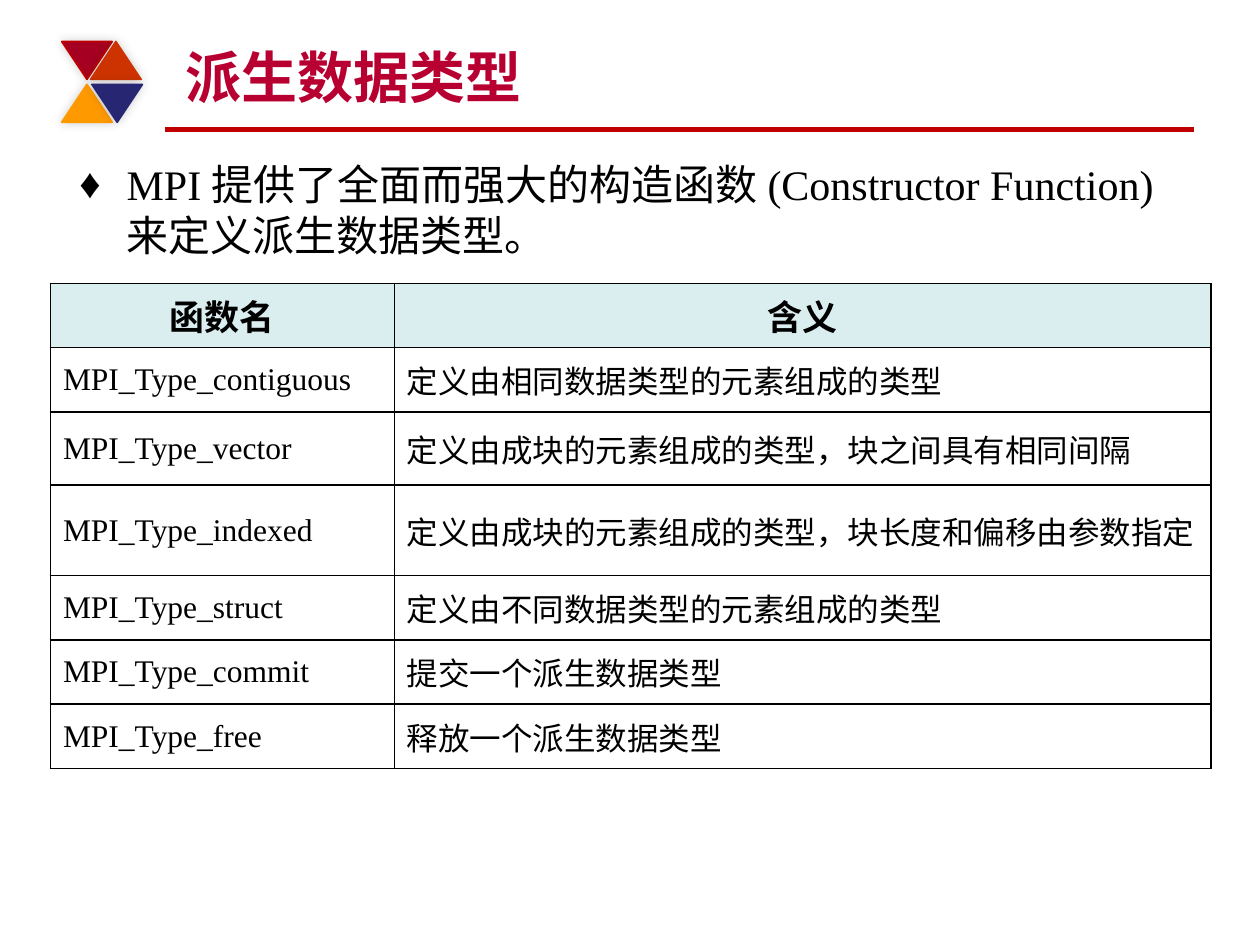
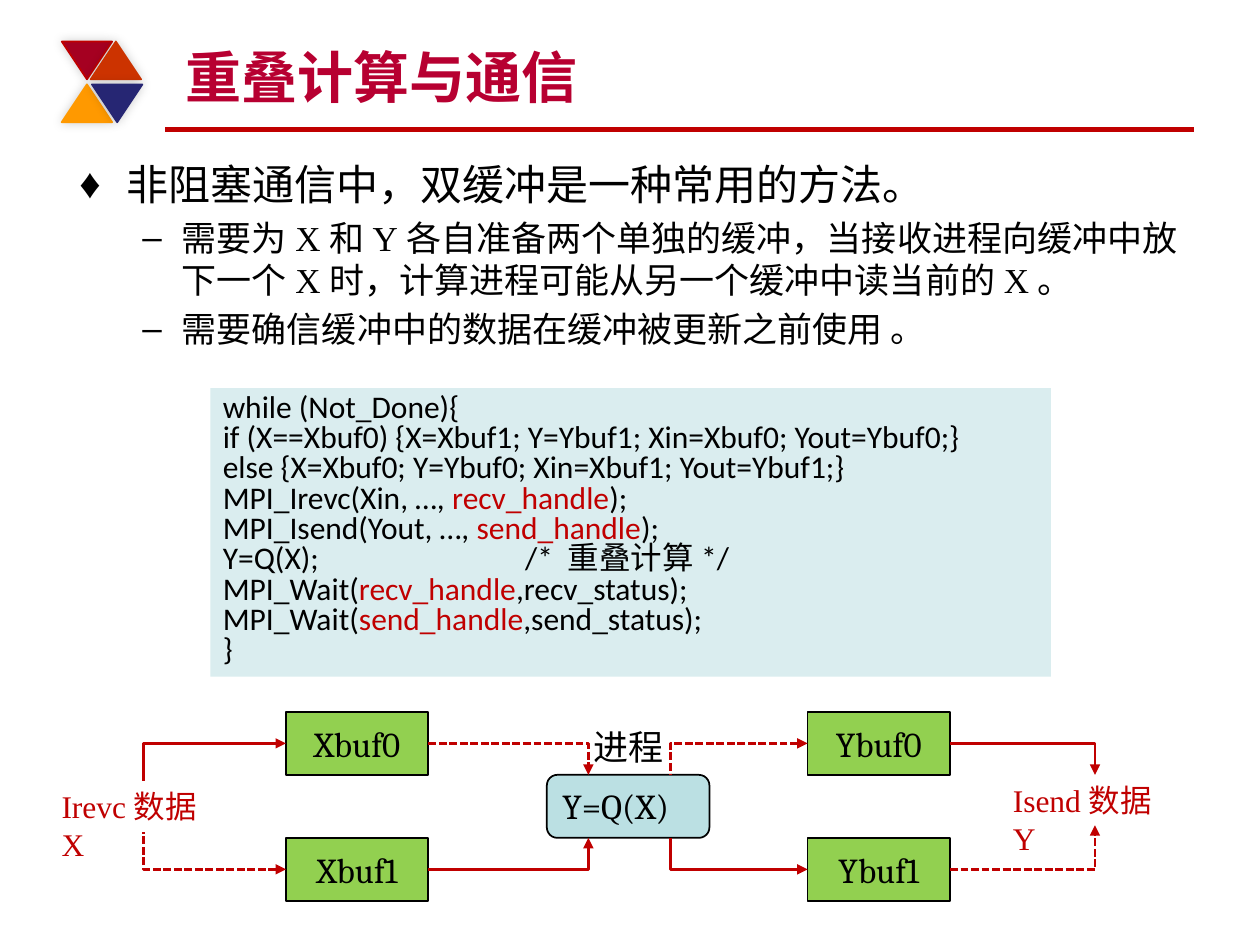
from lxml.etree import SubElement
from pptx import Presentation
from pptx.dml.color import RGBColor
from pptx.enum.dml import MSO_LINE
from pptx.enum.shapes import MSO_CONNECTOR, MSO_SHAPE
from pptx.enum.text import MSO_ANCHOR, MSO_AUTO_SIZE, PP_ALIGN
from pptx.oxml.ns import qn
from pptx.util import Inches, Pt

BLACK = RGBColor(0x00, 0x00, 0x00)
RED = RGBColor(0xC0, 0x00, 0x00)
TITLE_RED = RGBColor(0xB7, 0x00, 0x31)
PALE_TEAL = RGBColor(0xDA, 0xED, 0xEF)
TEAL = RGBColor(0xBB, 0xE0, 0xE3)
GREEN = RGBColor(0x92, 0xD0, 0x50)
CRIMSON = RGBColor(0xA5, 0x00, 0x21)
ORANGE_RED = RGBColor(0xCC, 0x33, 0x00)
AMBER = RGBColor(0xFF, 0x99, 0x00)
NAVY = RGBColor(0x26, 0x26, 0x73)

SERIF = "Times New Roman"
BULLETS = ("♦", "–")

FUNCTIONS = [
    ("函数名", "含义"),
    ("MPI_Type_contiguous", "定义由相同数据类型的元素组成的类型"),
    ("MPI_Type_vector", "定义由成块的元素组成的类型，块之间具有相同间隔"),
    ("MPI_Type_indexed", "定义由成块的元素组成的类型，块长度和偏移由参数指定"),
    ("MPI_Type_struct", "定义由不同数据类型的元素组成的类型"),
    ("MPI_Type_commit", "提交一个派生数据类型"),
    ("MPI_Type_free", "释放一个派生数据类型"),
]
CODE = [
    "while (Not_Done){",
    "if (X==Xbuf0) {X=Xbuf1; Y=Ybuf1; Xin=Xbuf0; Yout=Ybuf0;}",
    "else {X=Xbuf0; Y=Ybuf0; Xin=Xbuf1; Yout=Ybuf1;}",
    "MPI_Irevc(Xin, …, |recv_handle|);",
    "MPI_Isend(Yout, …, |send_handle|);",
    "Y=Q(X);\t/* 重叠计算*/",
    "MPI_Wait(|recv_handle|,recv_status);",
    "MPI_Wait(|send_handle|,send_status);",
    "}",
]


def inches(*lengths):
    return [Inches(length) for length in lengths]


def write(paragraph, text, font="Arial", size=20, color=BLACK, bold=False, align=None):
    run = paragraph.add_run()
    run.text = text
    run.font.name = font
    run.font.size = Pt(size)
    run.font.bold = bold
    run.font.color.rgb = color
    if align is not None:
        paragraph.alignment = align


def add_block(slide, preset, box, fill, line=None, anchor=MSO_ANCHOR.TOP):
    block = slide.shapes.add_shape(preset, *inches(*box))
    block.shadow.inherit = False
    block.fill.solid()
    block.fill.fore_color.rgb = fill
    if line is None:
        block.line.fill.background()
    else:
        block.line.color.rgb = line
        block.line.width = Pt(1)
    block.text_frame.vertical_anchor = anchor
    block.text_frame.paragraphs[0].alignment = PP_ALIGN.LEFT
    return block


def add_label(slide, text, box, right_margin=0.1, **style):
    label = slide.shapes.add_textbox(*inches(*box)).text_frame
    label.word_wrap = True
    label.margin_right = Inches(right_margin)
    write(label.paragraphs[0], text, **style)


def add_line(slide, kind, start, end, width):
    line = slide.shapes.add_connector(kind, *inches(*start, *end))
    line.line.color.rgb = RED
    line.line.width = Pt(width)
    SubElement(line._element.spPr, qn("a:effectLst"))
    return line


def add_arrow(slide, start, end, arrow_at="tailEnd", dashed=False):
    arrow = add_line(slide, MSO_CONNECTOR.ELBOW, start, end, 1.5)
    arrow._element.spPr.find(qn("a:prstGeom")).set("prst", "bentConnector2")
    if dashed:
        arrow.line.dash_style = MSO_LINE.SQUARE_DOT
    SubElement(arrow.line._get_or_add_ln(), qn(f"a:{arrow_at}"), type="triangle")


def add_soft_shadow(shape):
    effects = shape._element.spPr.find(qn("a:effectLst"))
    shadow = SubElement(effects, qn("a:outerShdw"), blurRad=str(Pt(6)), dist="0", dir="18900000")
    black = SubElement(shadow, qn("a:srgbClr"), val=str(BLACK))
    SubElement(black, qn("a:alpha"), val="20000")


def add_banner(slide, layout, left, top):
    banner = [add_line(slide, MSO_CONNECTOR.STRAIGHT, (1.31, 1.03), (9.48, 1.03), 3)]
    for dx, dy, color, edge, turn in (
        (0, 0, CRIMSON, RED, 180),
        (0.23, 0, ORANGE_RED, ORANGE_RED, 0),
        (0, 0.34, AMBER, AMBER, 0),
        (0.24, 0.34, NAVY, NAVY, 180),
    ):
        triangle = add_block(slide, MSO_SHAPE.ISOSCELES_TRIANGLE,
                             (left + dx, top + dy, 0.4, 0.3), color, edge)
        triangle.rotation = turn
        add_soft_shadow(triangle)
        banner.append(triangle)
    for part in banner:
        layout.shapes._spTree.append(part._element)


def place(placeholder, box):
    placeholder.left, placeholder.top, placeholder.width, placeholder.height = inches(*box)
    placeholder.text_frame.auto_size = MSO_AUTO_SIZE.NONE
    return placeholder.text_frame


def add_content_slide(deck, layout, heading, points, body_height):
    slide = deck.slides.add_slide(layout)
    title = place(slide.shapes.title, (1.37, 0.25, 8, 0.67))
    title.vertical_anchor = MSO_ANCHOR.BOTTOM
    write(title.paragraphs[0], heading, size=32, color=TITLE_RED, bold=True, align=PP_ALIGN.LEFT)
    body = place(slide.placeholders[1], (0.53, 1.21, 8.95, body_height))
    for index, (level, text) in enumerate(points):
        point = body.add_paragraph() if index else body.paragraphs[0]
        point.level = level
        write(point, text, font=SERIF, size=20 if level else 24)
        SubElement(point._p.get_or_add_pPr(), qn("a:buChar"), char=BULLETS[level])
    return slide


def add_borders(cell):
    properties = cell._tc.get_or_add_tcPr()
    for index, side in enumerate(("lnL", "lnR", "lnT", "lnB")):
        border = SubElement(properties, qn(f"a:{side}"), w=str(Pt(1)))
        properties.insert(index, border)
        fill = SubElement(border, qn("a:solidFill"))
        SubElement(fill, qn("a:srgbClr"), val=str(BLACK))


def add_function_table(slide, box):
    table = slide.shapes.add_table(len(FUNCTIONS), 2, *inches(*box)).table
    table.first_row = table.horz_banding = False
    for column, width in zip(table.columns, (2.73, 6.48)):
        column.width = Inches(width)
    for row, height in zip(table.rows, (0.51, 0.51, 0.58, 0.72, 0.51, 0.51, 0.51)):
        row.height = Inches(height)
    for r, entries in enumerate(FUNCTIONS):
        for c, text in enumerate(entries):
            cell = table.cell(r, c)
            cell.vertical_anchor = MSO_ANCHOR.MIDDLE
            paragraph = cell.text_frame.paragraphs[0]
            if r == 0:
                cell.fill.solid()
                cell.fill.fore_color.rgb = PALE_TEAL
                write(paragraph, text, bold=True, align=PP_ALIGN.CENTER)
            else:
                cell.fill.background()
                write(paragraph, text, font=SERIF, size=18)
            add_borders(cell)


def add_code(slide, box):
    code = add_block(slide, MSO_SHAPE.RECTANGLE, box, PALE_TEAL).text_frame
    code.word_wrap = True
    for index, text in enumerate(CODE):
        line = code.add_paragraph() if index else code.paragraphs[0]
        line.line_spacing = 0.8
        for part, piece in enumerate(text.split("|")):
            write(line, piece, font="Calibri", size=18, color=RED if part % 2 else BLACK,
                  align=PP_ALIGN.LEFT)
        if "\t" in text:
            stops = SubElement(line._p.get_or_add_pPr(), qn("a:tabLst"))
            SubElement(stops, qn("a:tab"), pos=str(Inches(2.4)), algn="l")


def add_buffer_diagram(slide, left, top):
    width, height, step = 1.13, 0.5, 1
    x_left, y_left = left + 1.88, left + 6.02
    x_right, y_right = x_left + width, y_left + width
    process_top = top + 0.5
    process_bottom = process_top + height

    process = add_block(slide, MSO_SHAPE.ROUNDED_RECTANGLE,
                        (left + 3.95, process_top, 1.29, height), TEAL, BLACK)
    write(process.text_frame.paragraphs[0], "Y=Q(X)", font="Cambria")
    add_label(slide, "进程", (left + 4.22, top + 0.06, 1.02, 0.44))

    for name, buffer_left in (("Xbuf", x_left), ("Ybuf", y_left)):
        for number in range(2):
            buffer = add_block(slide, MSO_SHAPE.RECTANGLE,
                               (buffer_left, top + number * step, width, height),
                               GREEN, BLACK, MSO_ANCHOR.MIDDLE)
            write(buffer.text_frame.paragraphs[0], f"{name}{number}", font="Cambria",
                  align=PP_ALIGN.CENTER)

    for number, process_edge, receive_edge, send_edge in (
        (0, process_top, top + 0.55, top + 0.5),
        (1, process_bottom, top + 0.95, top + 0.9),
    ):
        middle = top + number * step + height / 2
        first, second = number == 0, number == 1
        add_arrow(slide, (x_right, middle), (left + 4.28, process_edge), dashed=first)
        add_arrow(slide, (y_left, middle), (left + 4.93, process_edge), "headEnd", dashed=first)
        add_arrow(slide, (x_left, middle), (left + 0.75, receive_edge), "headEnd", dashed=second)
        add_arrow(slide, (y_right, middle), (left + 8.3, send_edge), dashed=second)

    for text, dx, dy in (("Irevc数据X", 0, 0.55), ("Isend数据Y", 7.55, 0.5)):
        add_label(slide, text, (left + dx, top + dy, 1.5, 0.4), right_margin=0.25,
                  font=SERIF, size=18, color=RED)


def main():
    deck = Presentation()
    deck.slide_width, deck.slide_height = inches(10, 7.5)
    layout = deck.slide_layouts[1]

    types = add_content_slide(deck, layout, "派生数据类型", [
        (0, "MPI提供了全面而强大的构造函数(Constructor Function)来定义派生数据类型。"),
    ], 1.04)
    add_banner(types, layout, 0.49, 0.33)
    add_function_table(types, (0.4, 2.25, 9.21, 3.85))

    overlap = add_content_slide(deck, layout, "重叠计算与通信", [
        (0, "非阻塞通信中，双缓冲是一种常用的方法。"),
        (1, "需要为X和Y各自准备两个单独的缓冲，当接收进程向缓冲中放下一个X时，"
            "计算进程可能从另一个缓冲中读当前的X。"),
        (1, "需要确信缓冲中的数据在缓冲被更新之前使用 。"),
    ], 5.96)
    add_code(overlap, (1.67, 3.08, 6.67, 2.29))
    add_buffer_diagram(overlap, 0.39, 5.65)

    deck.save("out.pptx")


if __name__ == "__main__":
    main()
